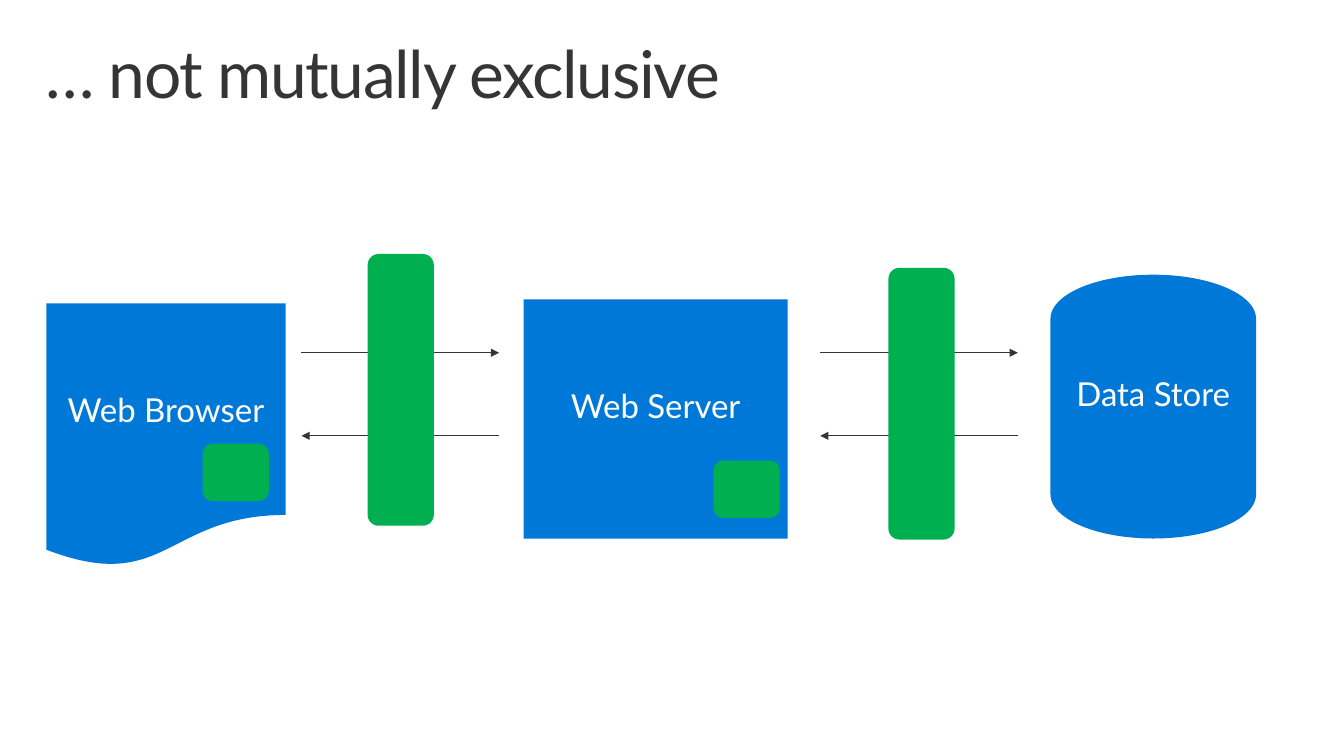
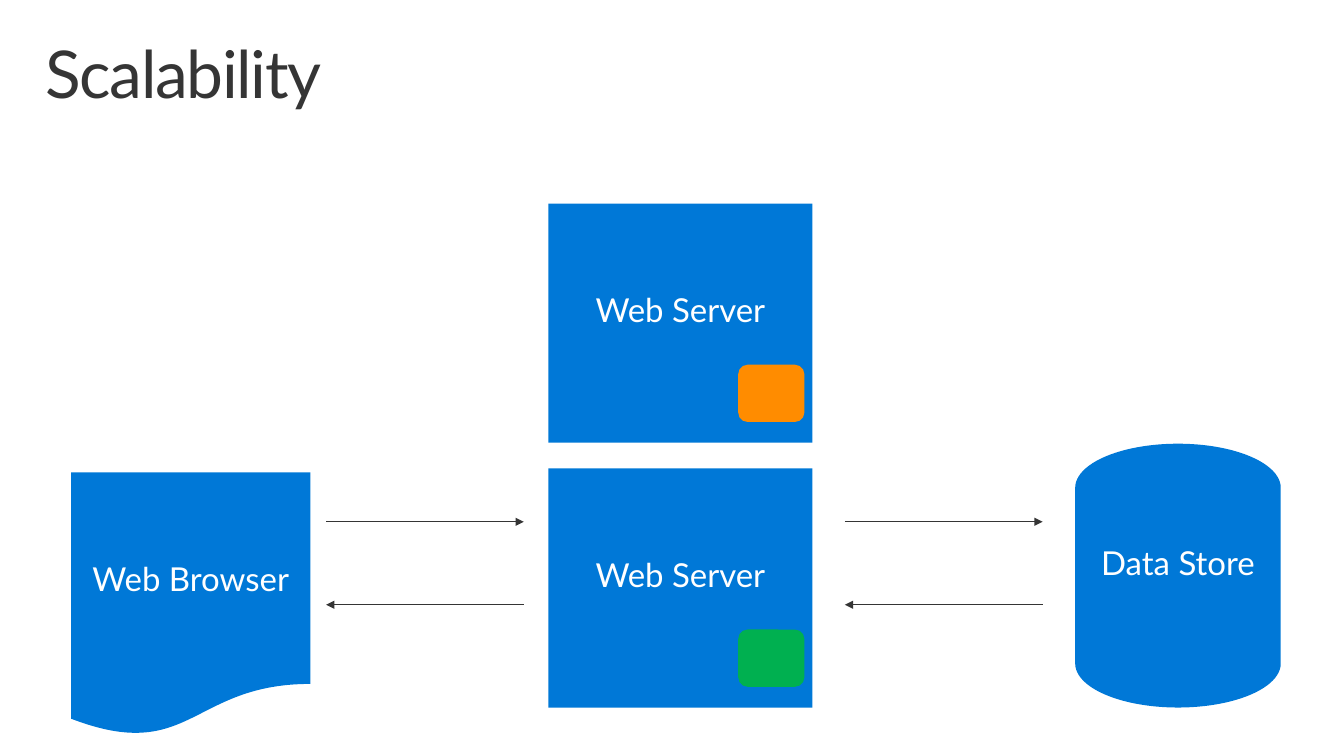
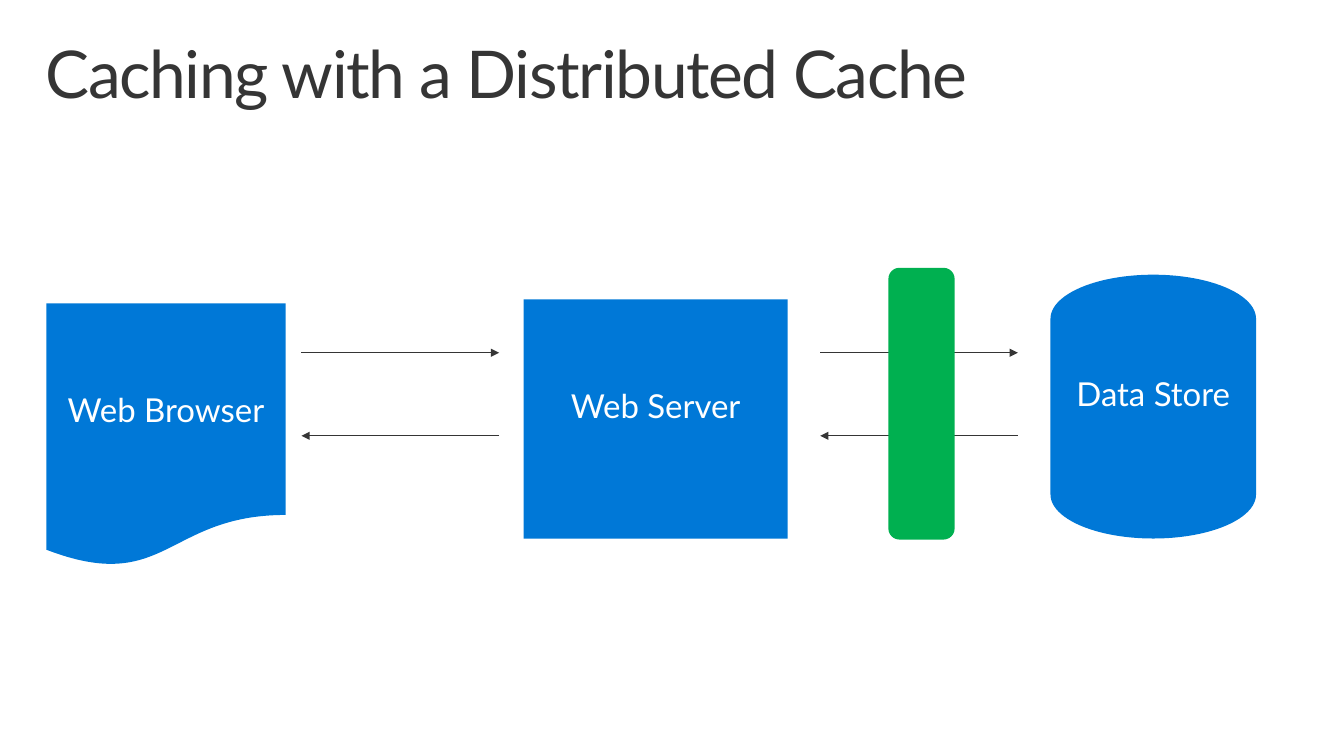
from dataclasses import dataclass, replace

from lxml.etree import SubElement
from pptx import Presentation
from pptx.dml.color import RGBColor as RGB
from pptx.enum.shapes import MSO_CONNECTOR as LINK, MSO_SHAPE as KIND
from pptx.enum.text import MSO_ANCHOR as ANCHOR, PP_ALIGN as ALIGN
from pptx.oxml.ns import qn
from pptx.shapes.autoshape import Shape
from pptx.slide import Slide
from pptx.util import Inches, Pt


@dataclass(frozen=True)
class Theme:
    font: str = "Lato"
    ink: RGB = RGB(0x35, 0x35, 0x35)
    white: RGB = RGB(0xFF, 0xFF, 0xFF)
    blue: RGB = RGB(0x00, 0x78, 0xD7)
    green: RGB = RGB(0x00, 0xB0, 0x50)
    orange: RGB = RGB(0xFF, 0x8C, 0x00)
    title: int = 48
    label: int = 24
    line: float = 0.75


THEME = Theme()


@dataclass(frozen=True)
class Box:
    """A filled shape; inset is the space above its label."""
    kind: KIND
    x: float
    y: float
    w: float
    h: float
    fill: RGB = THEME.blue
    label: str = ""
    inset: float = 0.92

    def move(self, dx: float, dy: float) -> "Box":
        return replace(self, x=self.x + dx, y=self.y + dy)


@dataclass(frozen=True)
class Page:
    title: str
    extras: tuple[Box, ...]
    dx: float = 0
    dy: float = 0


def cache(x: float, y: float, h: float, fill: RGB = THEME.green) -> Box:
    return Box(KIND.FLOWCHART_ALTERNATE_PROCESS, x, y, 0.67, h, fill)


STORE = Box(KIND.FLOWCHART_MAGNETIC_DISK, 10.63, 2.78, 2.08, 2.67,
            label="Data Store", inset=0.16)
SERVER = Box(KIND.RECTANGLE, 5.3, 3.03, 2.67, 2.42, label="Web Server")
BROWSER = Box(KIND.FLOWCHART_DOCUMENT, 0.47, 3.07, 2.42, 2.67,
              label="Web Browser")
TIERS = (STORE, SERVER, BROWSER)

LINK_X = (3.05, 8.3)
LINK_W = 2
SEND_Y, REPLY_Y = 3.57, 4.41

BAR_H, CHIP_H = 2.75, 0.58
STORE_BAR = cache(8.99, 2.71, BAR_H)
BROWSER_BAR = cache(3.72, 2.57, BAR_H)
SERVER_CHIP = cache(7.22, 4.66, CHIP_H)
BROWSER_CHIP = cache(2.05, 4.49, CHIP_H)
SPARE_DY = -2.68

PAGES = (
    Page("… not mutually exclusive",
         (STORE_BAR, SERVER_CHIP, BROWSER_BAR, BROWSER_CHIP)),
    Page("Scalability",
         (SERVER_CHIP, SERVER.move(0, SPARE_DY),
          replace(SERVER_CHIP, fill=THEME.orange).move(0, SPARE_DY)),
         dx=0.25, dy=1.71),
    Page("Caching with a Distributed Cache", (STORE_BAR,)),
)


def write(shape: Shape, text: str, *, size: int, color: RGB, align: ALIGN,
          side: float, top: float, base: float, track: int = 0) -> None:
    """Set text; side, top and base are insets, track is in 1/100 pt."""
    frame = shape.text_frame
    frame.word_wrap = True
    frame.vertical_anchor = ANCHOR.TOP
    frame.margin_left = frame.margin_right = Inches(side)
    frame.margin_top, frame.margin_bottom = Inches(top), Inches(base)
    para = frame.paragraphs[0]
    para.alignment = align
    para.line_spacing = 0.9
    run = para.add_run()
    run.text = text
    run.font.name = THEME.font
    run.font.size = Pt(size)
    run.font.color.rgb = color
    if track:
        run.font._element.set("spc", str(track))


def head(slide: Slide, text: str) -> None:
    """Add the slide title."""
    area = slide.shapes.add_textbox(Inches(0.3), Inches(0.32),
                                    Inches(13), Inches(1))
    write(area, text, size=THEME.title, color=THEME.ink, align=ALIGN.LEFT,
          side=0.16, top=0.1, base=0.1, track=-100)


def draw(slide: Slide, box: Box) -> None:
    shape = slide.shapes.add_shape(box.kind, Inches(box.x), Inches(box.y),
                                   Inches(box.w), Inches(box.h))
    shape.shadow.inherit = False
    shape.fill.solid()
    shape.fill.fore_color.rgb = box.fill
    shape.line.fill.background()
    if box.label:
        write(shape, box.label, size=THEME.label, color=THEME.white,
              align=ALIGN.CENTER, side=0.2, top=box.inset, base=0.16)


def arrow(slide: Slide, start: float, end: float, y: float) -> None:
    link = slide.shapes.add_connector(LINK.STRAIGHT, Inches(start), Inches(y),
                                      Inches(end), Inches(y))
    link.line.color.rgb = THEME.ink
    link.line.width = Pt(THEME.line)
    props = link._element.spPr
    SubElement(props.find(qn("a:ln")), qn("a:tailEnd"), type="triangle")
    SubElement(props, qn("a:effectLst"))


def build(slide: Slide, page: Page) -> None:
    head(slide, page.title)
    for box in TIERS:
        draw(slide, box.move(page.dx, page.dy))
    for x in LINK_X:
        left = x + page.dx
        right = left + LINK_W
        arrow(slide, left, right, SEND_Y + page.dy)
        arrow(slide, right, left, REPLY_Y + page.dy)
    for box in page.extras:
        draw(slide, box.move(page.dx, page.dy))


def main() -> None:
    deck = Presentation()
    deck.slide_width, deck.slide_height = Inches(13.6), Inches(7.65)
    blank = deck.slide_layouts[6]
    for page in PAGES:
        build(deck.slides.add_slide(blank), page)
    deck.save("out.pptx")


if __name__ == "__main__":
    main()
